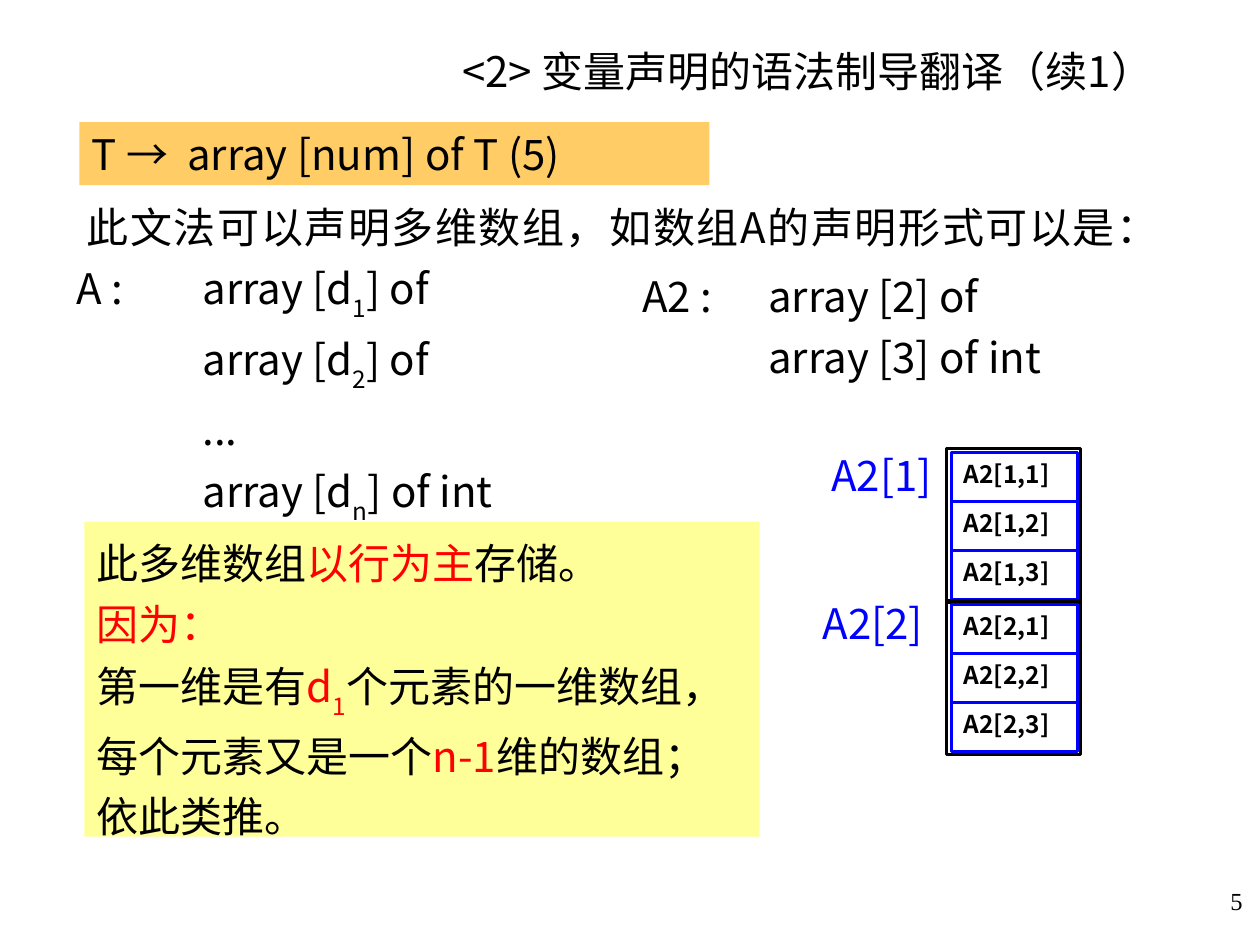
"""Build the slide on translating array declarations."""
from lxml.etree import SubElement
from pptx import Presentation
from pptx.dml.color import RGBColor
from pptx.enum.shapes import MSO_SHAPE as Kind
from pptx.enum.text import MSO_ANCHOR as Anchor, MSO_AUTO_SIZE as Fit, PP_ALIGN as Align
from pptx.oxml.ns import qn
from pptx.util import Pt

BLACK = RGBColor(0x00, 0x00, 0x00)
RED = RGBColor(0xFF, 0x00, 0x00)
BLUE = RGBColor(0x00, 0x00, 0xFF)
GOLD = RGBColor(0xFF, 0xCC, 0x66)
CREAM = RGBColor(0xFF, 0xFF, 0x99)
SANS = "Noto Sans CJK SC"
SERIF = "Times New Roman"


def add_run(para, text, color=BLACK, sub=False, size=24, font=SANS, bold=False):
    run = para.add_run()
    run.text = text
    face = run.font
    face.size, face.name, face.bold = Pt(size), font, bold
    face.color.rgb = color
    props = face._element
    SubElement(props, qn("a:ea")).set("typeface", font)
    if sub:
        props.set("baseline", "-30000")


def add_tab(para, pos):
    tabs = SubElement(para._p.get_or_add_pPr(), qn("a:tabLst"))
    tab = SubElement(tabs, qn("a:tab"))
    tab.set("pos", str(Pt(pos)))
    tab.set("algn", "l")


def fill_text(shape, lines, align=Align.LEFT, space=None, tab=None, wrap=True,
              anchor=Anchor.TOP, **style):
    frame = shape.text_frame
    frame.word_wrap = wrap
    frame.auto_size = Fit.NONE if wrap else Fit.SHAPE_TO_FIT_TEXT
    frame.vertical_anchor = anchor
    for i, runs in enumerate(lines):
        para = frame.add_paragraph() if i else frame.paragraphs[0]
        para.alignment = align
        if space:
            para.line_spacing = space
        if tab:
            add_tab(para, tab)
        for run in runs:
            add_run(para, *run, **style)


def add_text(slide, box, lines, **style):
    shape = slide.shapes.add_textbox(*map(Pt, box))
    fill_text(shape, lines, **style)
    return shape


def add_rect(slide, box, fill=None, line=None):
    shape = slide.shapes.add_shape(Kind.RECTANGLE, *map(Pt, box))
    shape.shadow.inherit = False
    if fill:
        shape.fill.solid()
        shape.fill.fore_color.rgb = fill
    else:
        shape.fill.background()
    if line:
        shape.line.color.rgb = line
        shape.line.width = Pt(1.75)
    else:
        shape.line.fill.background()
    return shape


def add_row(slide, row, top, left, label):
    add_rect(slide, (540.7, top, 77, 87.8), line=BLACK)
    add_text(slide, (left, label, 74.9, 36.7), [[(f"A2[{row}]", BLUE)]], wrap=False)
    for col in range(3):
        cell = add_rect(slide, (543.6, top + 2.2 + 28 * col, 72, 28), line=BLUE)
        fill_text(cell, [[(f"A2[{row},{col + 1}]",)]], align=Align.JUSTIFY,
                  size=14, bold=True)


def main():
    deck = Presentation()
    deck.slide_width, deck.slide_height = Pt(720), Pt(540)
    slide = deck.slides.add_slide(deck.slide_layouts[6])

    add_text(slide, (567.4, 502.6, 149.8, 36), [[("5",)]],
             align=Align.RIGHT, size=14, font=SERIF)
    add_text(slide, (54, 20.2, 612, 40.3), [[("<2> 变量声明的语法制导翻译（续1）",)]],
             align=Align.RIGHT, anchor=Anchor.MIDDLE)
    add_text(slide, (36.7, 139.7, 300.2, 145.4), [
        [("A : \tarray [d",), ("1", BLACK, True), ("] of",)],
        [("\tarray [d",), ("2", BLACK, True), ("] of",)],
        [("\t...",)],
        [("\tarray [d",), ("n", BLACK, True), ("] of int",)],
    ], space=1.2, tab=72)
    rule = add_rect(slide, (45.4, 69.8, 360, 36), fill=GOLD)
    fill_text(rule, [[("T →  array [num] of T (5)",)]], align=Align.JUSTIFY)
    note = add_rect(slide, (48.2, 298.1, 385.9, 180), fill=CREAM)
    fill_text(note, [
        [("此多维数组",), ("以行为主", RED), ("存储。",)],
        [("因为：", RED)],
        [("第一维是有",), ("d", RED), ("1", RED, True), ("个元素的一维数组，",)],
        [("每个元素又是一个",), ("n-1", RED), ("维的数组；",)],
        [("依此类推。",)],
    ], space=1.2)
    intro = add_text(slide, (42.5, 105.8, 602.6, 41.8),
                     [[("此文法可以声明多维数组，如数组A的声明形式可以是：",)]],
                     align=Align.JUSTIFY, space=1.2, wrap=False)
    props = intro.text_frame.paragraphs[0]._p.get_or_add_pPr()
    props.set("marL", str(Pt(36)))
    props.set("indent", str(Pt(-36)))
    add_text(slide, (360, 145.4, 300.2, 76.3), [
        [("A2 : \tarray [2] of",)],
        [("\tarray [3] of int",)],
    ], space=1.2, tab=72)
    add_row(slide, 1, 256.3, 468, 253.4)
    add_row(slide, 2, 343.4, 463, 337.7)
    deck.save("out.pptx")


if __name__ == "__main__":
    main()
